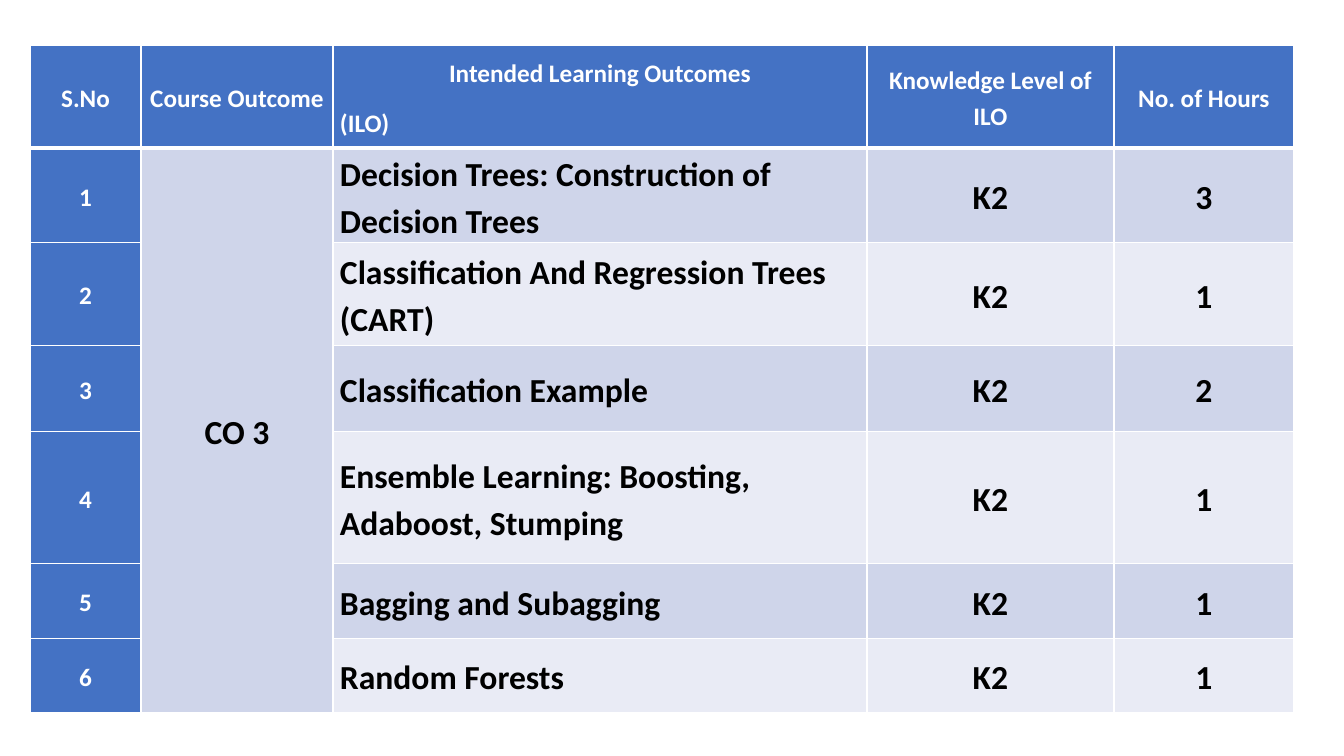
from lxml import etree
from pptx import Presentation
from pptx import util as u
from pptx.dml.color import RGBColor
from pptx.enum import text
from pptx.oxml import ns

HEADERS = [
    ["S.No"],
    ["Course Outcome"],
    ["Intended Learning Outcomes", "(ILO)"],
    ["Knowledge Level of ILO"],
    ["No. of Hours"],
]
COURSE_OUTCOME = "CO 3"
LEARNING_OUTCOMES = [
    ("Decision Trees: Construction of Decision Trees", "K2", 3),
    ("Classification And Regression Trees (CART)", "K2", 1),
    ("Classification Example", "K2", 2),
    ("Ensemble Learning: Boosting, Adaboost, Stumping", "K2", 1),
    ("Bagging and Subagging", "K2", 1),
    ("Random Forests", "K2", 1),
]

PX = 914400 / 100.8
SLIDE_SIZE = (1344, 756)
TABLE_LEFT, TABLE_TOP = 30, 45
COLUMN_WIDTHS = [111, 192, 534, 247, 180]
ROW_HEIGHTS = [103, 86, 103, 86, 132, 75, 74]
SIDE_MARGIN = 7
OUTCOME_COLUMN, ILO_COLUMN = 1, 2

FONT = "Calibri"
LABEL_SIZE, BODY_SIZE = 18, 24
WHITE = RGBColor(0xFF, 0xFF, 0xFF)
BLACK = RGBColor(0x00, 0x00, 0x00)
BLUE = RGBColor(0x44, 0x72, 0xC4)
BANDS = [RGBColor(0xCF, 0xD5, 0xEA), RGBColor(0xE9, 0xEB, 0xF5)]


def px(length):
    return u.Emu(round(length * PX))


def set_borders(cell, widths):
    """Give the cell white borders; widths maps L, R, T, B to points."""
    properties = cell._tc.get_or_add_tcPr()
    for index, (side, width) in enumerate(widths.items()):
        line = etree.Element(ns.qn("a:ln" + side), w=str(u.Pt(width)))
        fill = etree.SubElement(line, ns.qn("a:solidFill"))
        etree.SubElement(fill, ns.qn("a:srgbClr"), val=str(WHITE))
        properties.insert(index, line)


def write_cell(cell, lines, alignments, size, color):
    cell.vertical_anchor = text.MSO_ANCHOR.MIDDLE
    cell.margin_left = cell.margin_right = px(SIDE_MARGIN)
    cell.margin_top = cell.margin_bottom = 0
    frame = cell.text_frame
    for index, (line, alignment) in enumerate(zip(lines, alignments)):
        paragraph = frame.add_paragraph() if index else frame.paragraphs[0]
        paragraph.alignment = alignment
        paragraph.line_spacing = 1.15
        paragraph.space_after = u.Pt(10)
        run = paragraph.add_run()
        run.text = line
        run.font.name = FONT
        run.font.size = u.Pt(size)
        run.font.bold = True
        run.font.color.rgb = color


def main():
    presentation = Presentation()
    presentation.slide_width, presentation.slide_height = map(px, SLIDE_SIZE)
    slide = presentation.slides.add_slide(presentation.slide_layouts[6])

    rows = [HEADERS]
    for number, (outcome, level, hours) in enumerate(LEARNING_OUTCOMES, 1):
        course = [COURSE_OUTCOME] if number == 1 else []
        rows.append([[str(number)], course, [outcome], [level], [str(hours)]])

    table = slide.shapes.add_table(
        len(rows), len(HEADERS), px(TABLE_LEFT), px(TABLE_TOP),
        px(sum(COLUMN_WIDTHS)), px(sum(ROW_HEIGHTS))).table
    for column, width in zip(table.columns, COLUMN_WIDTHS):
        column.width = px(width)
    for row, height in zip(table.rows, ROW_HEIGHTS):
        row.height = px(height)

    center, left = text.PP_ALIGN.CENTER, text.PP_ALIGN.LEFT
    for r, row in enumerate(rows):
        for c, lines in enumerate(row):
            cell = table.cell(r, c)
            is_label = r == 0 or c == 0
            band = BANDS[0] if c == OUTCOME_COLUMN else BANDS[(r - 1) % 2]
            alignments = [center, left] if r == 0 or c != ILO_COLUMN else [left]
            write_cell(cell, lines, alignments,
                       LABEL_SIZE if is_label else BODY_SIZE,
                       WHITE if is_label else BLACK)
            cell.fill.solid()
            cell.fill.fore_color.rgb = BLUE if is_label else band
            set_borders(cell, {"L": 1, "R": 1, "T": 3 if r == 1 else 1,
                               "B": 3 if r == 0 else 1})
    table.cell(1, OUTCOME_COLUMN).merge(table.cell(len(rows) - 1, OUTCOME_COLUMN))

    presentation.save("out.pptx")


if __name__ == "__main__":
    main()
